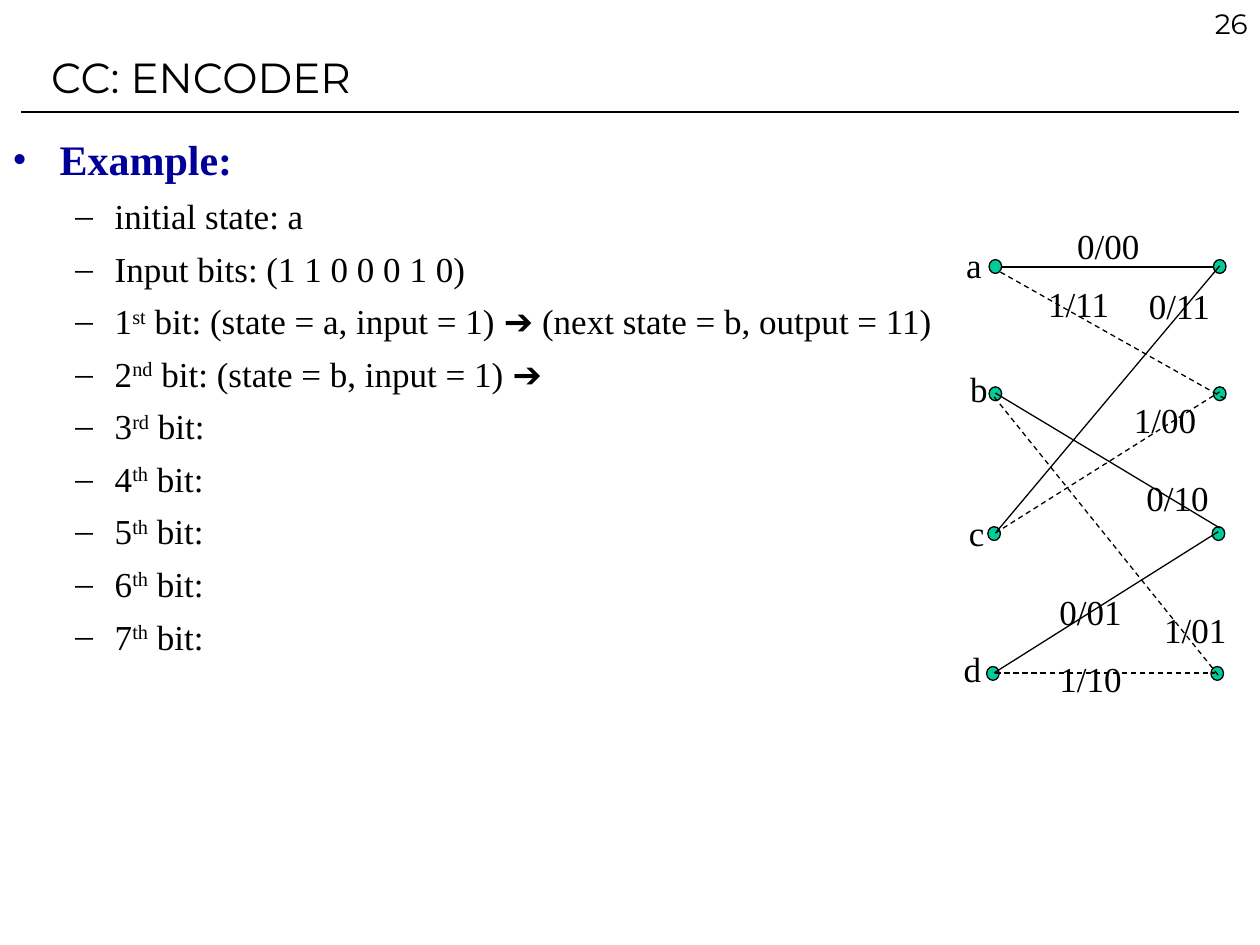
from lxml import etree
from pptx import Presentation
from pptx.dml.color import RGBColor
from pptx.enum.dml import MSO_LINE
from pptx.enum.shapes import MSO_CONNECTOR, MSO_SHAPE
from pptx.enum.text import MSO_ANCHOR, MSO_AUTO_SIZE, PP_ALIGN
from pptx.oxml.ns import qn
from pptx.util import Pt

STRAIGHT = MSO_CONNECTOR.STRAIGHT
OVAL = MSO_SHAPE.OVAL
DASH = MSO_LINE.DASH
LEFT, RIGHT = PP_ALIGN.LEFT, PP_ALIGN.RIGHT
MIDDLE = MSO_ANCHOR.MIDDLE
NO_AUTOFIT = MSO_AUTO_SIZE.NONE

HEADING_FONT, BODY_FONT, ARROW_FONT = "Montserrat", "Times New Roman", "Arial"
BLACK, NAVY, GREEN = "000000", "000099", "00CC99"
ARROW = "➔"

STEPS = [
    [("initial state: a", "")],
    [("Input bits: (1 1 0 0 0 1 0)", "")],
    [("1", ""), ("st", "super"), (" bit: (state = a, input = 1) ", ""),
     (ARROW, "arrow"), (" (next state = b, output = 11)", "")],
    [("2", ""), ("nd", "super"), (" bit: (state = b, input = 1) ", ""),
     (ARROW, "arrow")],
    [("3", ""), ("rd", "super"), (" bit:", "")],
] + [[(str(number), ""), ("th", "super"), (" bit:", "")] for number in range(4, 8)]

STATES = [
    ("a", (2, 11.4), (25.8, 28.3)),
    ("b", (4.2, 82.6), (25.8, 101)),
    ("c", (3.5, 164.7), (25.1, 180.9)),
    ("d", (0.6, 242.5), (24.4, 260.8)),
]
STATE_GAP = 128.2
NODE_WIDTH, NODE_HEIGHT = 7.2, 7.9

BRANCHES = [
    ("0/00", (65.4, 0.6), (29.4, 28.6), (150.4, 28.6)),
    ("0/10", (105, 144.6), (25.8, 100.6), (154, 177.7)),
    ("1/01", (115.1, 220.2), (25.1, 102.8), (153.2, 261.9)),
    ("1/11", (48.8, 33.7), (28.7, 31.5), (157.6, 104.2)),
    ("0/11", (106.4, 35.1), (26.5, 179.8), (154, 27.9)),
    ("1/00", (97.8, 99.9), (25.8, 180.6), (154, 99.9)),
    ("0/01", (55.3, 210.1), (25.1, 260.5), (153.2, 179.8)),
    ("1/10", (55.3, 248.2), (25.8, 260.5), (151.1, 260.5)),
]


def color(value):
    return RGBColor.from_string(value)


def format_font(font, name, size, value=BLACK, bold=False):
    font.name = name
    font.size = Pt(size)
    font.bold = bold
    font.color.rgb = color(value)


def add_line(shapes, start, end, dashed=False):
    line = shapes.add_connector(STRAIGHT, *(Pt(value) for value in (*start, *end)))
    line.line.color.rgb = color(BLACK)
    line.line.width = Pt(0.75)
    if dashed:
        line.line.dash_style = DASH
    etree.SubElement(line._element.spPr, qn("a:effectLst"))


def add_label(shapes, text, left, top, width, height, name=BODY_FONT, size=20,
              alignment=LEFT, wrap=False):
    label = shapes.add_textbox(Pt(left), Pt(top), Pt(width), Pt(height))
    label.text_frame.word_wrap = wrap
    label.text_frame.text = text
    paragraph = label.text_frame.paragraphs[0]
    paragraph.alignment = alignment
    format_font(paragraph.runs[0].font, name, size)


def add_header(slide, left, top, width, height):
    add_line(slide.shapes, (left + 12, top + 64), (left + width - 12, top + 64))
    add_label(slide.shapes, "26", left + width - 150, top, 150, 36,
              HEADING_FONT, 16, RIGHT, True)
    title = slide.shapes.title
    title.left, title.top = Pt(left + 22), Pt(top + 14)
    title.width, title.height = Pt(612), Pt(height)
    frame = title.text_frame
    frame.text = "CC: ENCODER"
    frame.auto_size = NO_AUTOFIT
    frame.vertical_anchor = MIDDLE
    frame.paragraphs[0].alignment = LEFT
    format_font(frame.paragraphs[0].runs[0].font, HEADING_FONT, 24)


def set_bullet(paragraph, character, value, margin, hanging):
    properties = paragraph._p.get_or_add_pPr()
    properties.set("marL", str(Pt(margin)))
    properties.set("indent", str(-Pt(hanging)))
    bullet_color = etree.SubElement(properties, qn("a:buClr"))
    etree.SubElement(bullet_color, qn("a:srgbClr"), val=value)
    etree.SubElement(properties, qn("a:buFont"), typeface=BODY_FONT)
    etree.SubElement(properties, qn("a:buChar"), char=character)


def add_example(slide, left, top, width, height):
    box = slide.shapes.add_textbox(Pt(left), Pt(top), Pt(width), Pt(height))
    frame = box.text_frame
    frame.word_wrap = True
    frame.margin_top = Pt(6)
    frame.text = "Example:"
    heading = frame.paragraphs[0]
    set_bullet(heading, "•", NAVY, 27, 27)
    format_font(heading.runs[0].font, BODY_FONT, 24, NAVY, True)
    for step in STEPS:
        paragraph = frame.add_paragraph()
        paragraph.level = 1
        set_bullet(paragraph, "–", BLACK, 58.5, 22.5)
        paragraph.space_before = Pt(6)
        for text, style in step:
            run = paragraph.add_run()
            run.text = text
            format_font(run.font, ARROW_FONT if style == "arrow" else BODY_FONT, 20)
            if style == "super":
                run._r.get_or_add_rPr().set("baseline", "30000")


def add_node(shapes, center_x, center_y):
    node = shapes.add_shape(OVAL, Pt(center_x - NODE_WIDTH / 2),
                            Pt(center_y - NODE_HEIGHT / 2),
                            Pt(NODE_WIDTH), Pt(NODE_HEIGHT))
    node.shadow.inherit = False
    node.fill.solid()
    node.fill.fore_color.rgb = color(GREEN)
    node.line.color.rgb = color(BLACK)
    node.line.width = Pt(0.75)


def add_trellis(slide, left, top):
    shapes = slide.shapes.add_group_shape().shapes
    for offset in (0, STATE_GAP):
        for _, _, (x, y) in STATES:
            add_node(shapes, left + x + offset, top + y)
    for text, _, start, end in BRANCHES:
        add_line(shapes, (left + start[0], top + start[1]),
                 (left + end[0], top + end[1]), text.startswith("1"))
    for text, (x, y), _, _ in BRANCHES:
        add_label(shapes, text, left + x, top + y, 54, 31.7)
    for text, (x, y), _ in STATES:
        add_label(slide.shapes, text, left + x, top + y, 23.5, 31.7)


def main():
    presentation = Presentation()
    presentation.slide_width, presentation.slide_height = Pt(720), Pt(540)
    slide = presentation.slides.add_slide(presentation.slide_layouts[5])
    add_header(slide, 0, 0, 720, 60)
    add_example(slide, 0, 70.5, 612, 413)
    add_trellis(slide, 543, 124)
    presentation.save("out.pptx")


if __name__ == "__main__":
    main()
